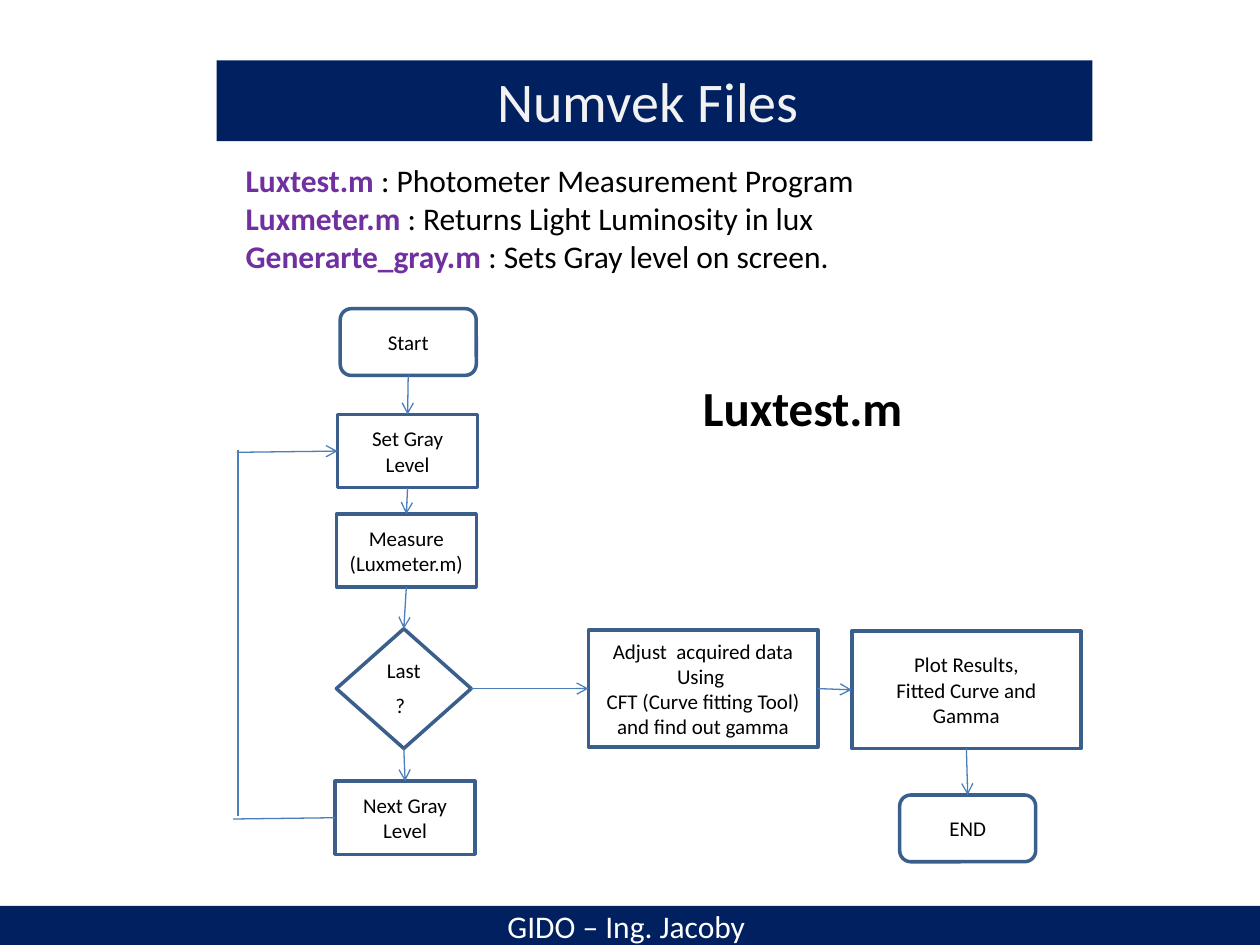
from lxml import etree
from pptx import Presentation
from pptx.dml.color import RGBColor
from pptx.enum.shapes import MSO_CONNECTOR, MSO_SHAPE
from pptx.enum.text import MSO_ANCHOR, MSO_AUTO_SIZE, PP_ALIGN
from pptx.oxml.ns import qn
from pptx.util import Inches, Pt

COLORS = {
    "navy": "002060", "white": "FFFFFF", "title": "F2F2F2", "purple": "7030A0",
    "black": "000000", "outline": "3A5F8C", "arrow": "4B7EBC",
}
FONT = "Calibri"
TOP, LEFT, BOTTOM, RIGHT = range(4)


def color(name):
    return RGBColor.from_string(COLORS[name])


def style_text(box, size, name, align=PP_ALIGN.CENTER, anchor=MSO_ANCHOR.MIDDLE, bold=False):
    frame = box.text_frame
    frame.word_wrap = True
    frame.auto_size = MSO_AUTO_SIZE.NONE
    frame.vertical_anchor = anchor
    for para in frame.paragraphs:
        para.alignment = align
        for span in para.runs:
            span.font.name = FONT
            span.font.size = Pt(size)
            span.font.bold = bold
            span.font.color.rgb = color(name)


deck = Presentation()
deck.slide_width, deck.slide_height = Inches(10), Inches(7.5)
page = deck.slides.add_slide(deck.slide_layouts[1])

title, files = page.placeholders
title.left, title.top, title.width, title.height = map(Inches, (1.72, 0.48, 6.95, 0.64))
title.fill.solid()
title.fill.fore_color.rgb = color("navy")
title.text_frame.text = "Numvek Files "
style_text(title, 32, "title", anchor=MSO_ANCHOR.TOP)

footer = page.shapes.add_shape(MSO_SHAPE.RECTANGLE, 0, Inches(7.19), Inches(10), Inches(0.31))
footer.shadow.inherit = False
footer.fill.solid()
footer.fill.fore_color.rgb = color("navy")
footer.line.fill.background()
footer.text_frame.text = "GIDO – Ing. Jacoby "
style_text(footer, 18, "white")

files.left, files.top, files.width, files.height = map(Inches, (1.85, 1.23, 6.79, 1.1))
descriptions = [
    ("Luxtest.m", "Photometer Measurement Program"),
    ("Luxmeter.m", "Returns Light Luminosity in lux"),
    ("Generarte_gray.m", "Sets Gray level on screen."),
]
files.text_frame.text = "\n".join(name for name, _ in descriptions)
for para, (_, description) in zip(files.text_frame.paragraphs, descriptions):
    para.add_run().text = f" : {description}"
    para.space_before = Pt(0)
style_text(files, 18, "black", PP_ALIGN.LEFT, MSO_ANCHOR.TOP)
for para in files.text_frame.paragraphs:
    para.runs[0].font.bold = True
    para.runs[0].font.color.rgb = color("purple")
    properties = para._p.get_or_add_pPr()
    properties.set("marL", "0")
    properties.set("indent", "0")
    etree.SubElement(properties, qn("a:buNone"))

terminal = MSO_SHAPE.FLOWCHART_ALTERNATE_PROCESS, 1.08, 0.53
step = MSO_SHAPE.FLOWCHART_PROCESS, 1.11, 0.58
wide_step = MSO_SHAPE.FLOWCHART_PROCESS, 1.82, 0.93
decision = MSO_SHAPE.FLOWCHART_DECISION, 1.07, 0.95
nodes = [
    ("start", terminal, 2.7, 2.45, "Start"),
    ("last", decision, 2.67, 4.99, "Last ?"),
    ("set", step, 2.68, 3.29, "Set Gray Level"),
    ("measure", step, 2.67, 4.08, "Measure\n(Luxmeter.m) "),
    ("next", step, 2.66, 6.2, "Next Gray Level"),
    ("adjust", wide_step, 4.67, 5, "Adjust  acquired data\nUsing \nCFT (Curve fitting Tool)\nand find out gamma"),
    ("plot", wide_step, 6.76, 5.01, "Plot Results,\nFitted Curve and Gamma"),
    ("end", terminal, 7.14, 6.31, "END"),
]
boxes = {}
for key, (kind, width, height), left, top, text in nodes:
    box = page.shapes.add_shape(kind, *map(Inches, (left, top, width, height)))
    box.shadow.inherit = False
    box.fill.solid()
    box.fill.fore_color.rgb = color("white")
    box.line.color.rgb = color("outline")
    box.line.width = Pt(2)
    box.text_frame.text = text
    style_text(box, 12, "black")
    boxes[key] = box
space = boxes["last"].text_frame.paragraphs[0].add_run()
space.text = " "
space.font.size = Pt(18)

links = [
    ("start", BOTTOM, "set", TOP),
    ("set", BOTTOM, "measure", TOP),
    ("measure", BOTTOM, "last", TOP),
    ("last", BOTTOM, "next", TOP),
    ("last", RIGHT, "adjust", LEFT),
    ("adjust", RIGHT, "plot", LEFT),
    ("plot", BOTTOM, "end", TOP),
]
loop_back = [
    (2.66, 6.49, 1.85, 6.5),
    (1.89, 6.48, 1.89, 3.57),
    (1.88, 3.59, 2.68, 3.58),
]
arrows, lines = [], []
for source, source_site, target, target_site in links:
    arrow = page.shapes.add_connector(MSO_CONNECTOR.STRAIGHT, 0, 0, 0, 0)
    arrow.begin_connect(boxes[source], source_site)
    arrow.end_connect(boxes[target], target_site)
    arrows.append(arrow)
for ends in loop_back:
    lines.append(page.shapes.add_connector(MSO_CONNECTOR.STRAIGHT, *map(Inches, ends)))
arrows.append(lines.pop())
for line in arrows + lines:
    line.line.color.rgb = color("arrow")
    line.line.width = Pt(0.75)
    etree.SubElement(line._element.spPr, qn("a:effectLst"))
for arrow in arrows:
    etree.SubElement(arrow.line._get_or_add_ln(), qn("a:tailEnd"), type="arrow")

caption = page.shapes.add_textbox(*map(Inches, (5.48, 2.95, 1.89, 0.57)))
caption.text_frame.text = "Luxtest.m"
style_text(caption, 28, "black", PP_ALIGN.LEFT, MSO_ANCHOR.TOP, bold=True)

deck.save("out.pptx")
